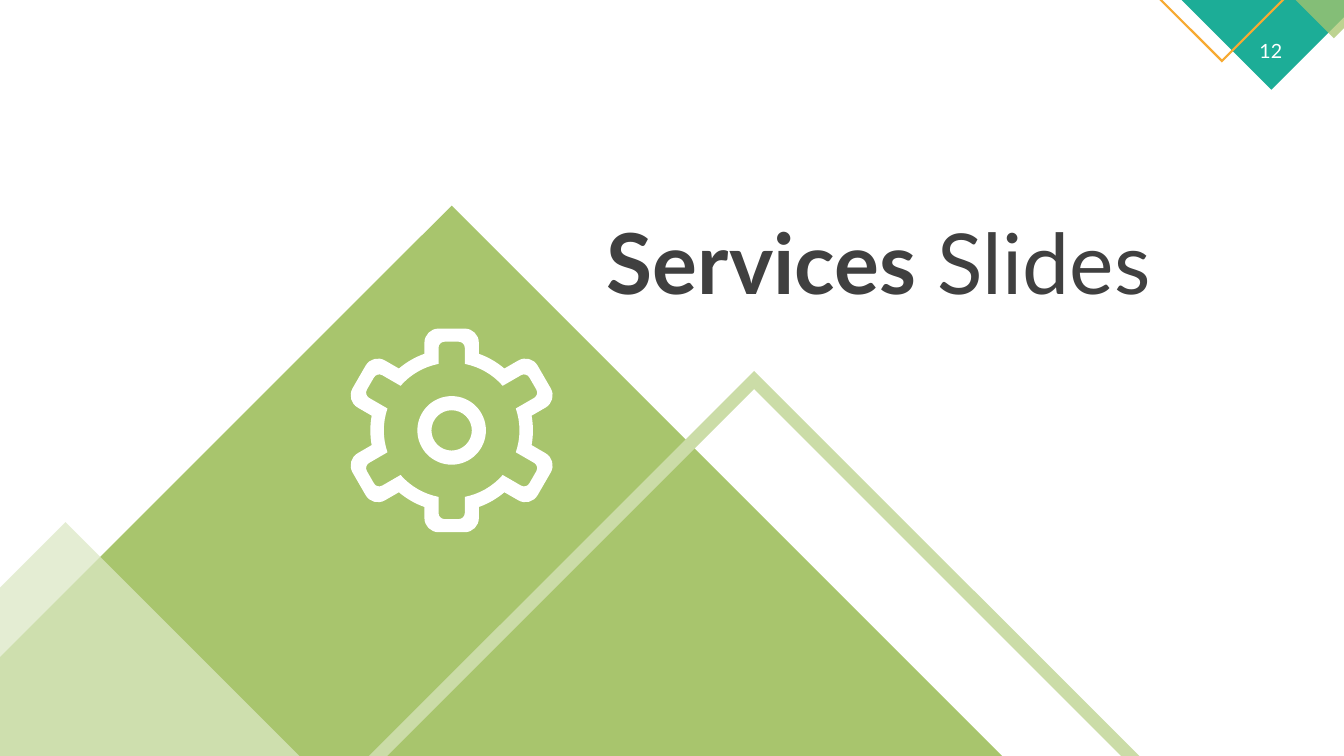
"""Build the Services section slide with mountain peaks and a gear icon."""
from dataclasses import dataclass
from math import atan2, cos, degrees, hypot, radians, sin, tan

from lxml import etree
from pptx import Presentation
from pptx import util as u
from pptx.dml.color import RGBColor
from pptx.enum import text
from pptx.oxml import ns


@dataclass(frozen=True)
class Theme:
    font: str = "Lato"
    title_size: int = 60
    number_size: int = 14
    ink: str = "404040"
    white: str = "FFFFFF"
    teal: str = "1CAD97"
    orange: str = "F7AA32"
    green: str = "A8C56D"
    light_green: str = "CBDCA7"
    pale_green: str = "DCE8C5"


THEME = Theme()
WIDTH, HEIGHT = 13.33, 7.5
TITLE = [("Services", True), (" Slides", False)]
TITLE_BOX = (5.92, 2.04, 5.92, 1.11)
PAGE_NUMBER = "12"
NUMBER_BOX = (12.33, 0.34, 0.55, 0.34)

# Each entry: apex, edge it rests on, band thickness (0 is solid), colour, opacity
PEAKS = [
    ((12.61, 0.89), 0, 0, THEME.teal, 100),
    ((12.12, 0.62), 0, 0.03, THEME.orange, 100),
    ((13.23, 0.38), 0, 0, THEME.green, 75),
    ((4.48, 2.04), HEIGHT, 0, THEME.green, 100),
    ((7.48, 3.68), HEIGHT, 0.18, THEME.light_green, 100),
    ((0.65, 5.18), HEIGHT, 0, THEME.pale_green, 75),
]

GEAR_CENTRE = (4.48, 4.27)
TEETH = 6
# Each entry: tooth half width, root, upright tip, slanted tip, corner radius
GEAR_RIMS = [(0.27, 0.76, 1.01, 1.06, 0.14), (0.13, 0.66, 0.88, 0.93, 0.06)]
HUB_RADII = (0.34, 0.2)


def peak_outline(apex, base, band):
    """Return a 45-degree peak clipped at the slide's sides."""
    x, y = apex
    toward = 1 if base > y else -1
    reach = abs(base - y)
    left, right = max(x - reach, 0), min(x + reach, WIDTH)
    points = [(left, base), apex, (right, base)]
    if right < x + reach:
        points.insert(2, (right, y + toward * (right - x)))
    if left > x - reach:
        points.insert(1, (left, y + toward * (x - left)))
    if band:
        points += [(right - band, base), (x, y + toward * band), (left + band, base)]
    return points


def arc(centre, radius, start, end):
    """Return the four Bezier points of an arc, clockwise from the top."""
    a, b = radians(start), radians(end)
    pull = 4 / 3 * tan((b - a) / 4)
    directions = [(sin(a), -cos(a)), (sin(a) + pull * cos(a), pull * sin(a) - cos(a)),
                  (sin(b) - pull * cos(b), -cos(b) - pull * sin(b)), (sin(b), -cos(b))]
    return [(centre[0] + radius * x, centre[1] + radius * y) for x, y in directions]


def turned(points, angle):
    """Turn points round the gear's centre and place them on the slide."""
    a, (cx, cy) = radians(angle), GEAR_CENTRE
    return [(cx + x * cos(a) - y * sin(a), cy + x * sin(a) + y * cos(a)) for x, y in points]


def rim_outline(half, root, upright, slanted, corner):
    """Return a toothed rim as a start point and Bezier triples."""
    pitch, root_angle = 360 / TEETH, degrees(atan2(half, root))
    valley = arc((0, 0), hypot(half, root), root_angle, pitch - root_angle)
    points = turned([(-half, -root)], 0)
    for tooth in range(TEETH):
        tip = slanted if tooth % (TEETH // 2) else upright
        shoulder, top = half - corner, corner - tip
        curves = [arc((-shoulder, top), corner, -90, 0),
                  arc((shoulder, top), corner, 0, 90), valley]
        for curve in curves:
            points += turned([curve[0]] * 3 + curve[1:], pitch * tooth)
    return points


def hub_outline(radius):
    """Return a circle as a start point and Bezier triples."""
    quarters = [arc(GEAR_CENTRE, radius, turn, turn + 90) for turn in range(0, 360, 90)]
    return quarters[0][:1] + [point for quarter in quarters for point in quarter[1:]]


def add_outline(slide, contours, colour, opacity=100):
    """Draw closed contours as one filled freeform."""
    contours = [[(u.Inches(x), u.Inches(y)) for x, y in points] for points in contours]
    first, *others = contours
    builder = slide.shapes.build_freeform(*first[0])
    builder.add_line_segments(first[1:])
    for contour in others:
        builder.move_to(*contour[0])
        builder.add_line_segments(contour[1:])
    outline = builder.convert_to_shape()
    outline.shadow.inherit = False
    outline.line.fill.background()
    outline.fill.solid()
    outline.fill.fore_color.rgb = RGBColor.from_string(colour)
    if opacity < 100:
        tint = outline.fill._xPr.find(".//" + ns.qn("a:srgbClr"))
        etree.SubElement(tint, ns.qn("a:alpha")).set("val", str(opacity * 1000))
    return outline


def curve_segments(outline):
    """Join each three line points into one Bezier segment, without closing lines."""
    steps = []
    for step in list(outline._element.iter(ns.qn("a:moveTo"), ns.qn("a:lnTo"))):
        if step.tag == ns.qn("a:moveTo"):
            steps = []
            continue
        steps.append(step)
        if len(steps) == 3:
            curve = etree.Element(ns.qn("a:cubicBezTo"))
            steps[0].addprevious(curve)
            for joined in steps:
                curve.append(joined[0])
                joined.getparent().remove(joined)
            steps = []
    for step in list(outline._element.iter(ns.qn("a:lnTo"))):
        step.getparent().remove(step)


def set_font(paragraph, size, colour):
    """Apply the theme font to a paragraph."""
    paragraph.font.name = THEME.font
    paragraph.font.size = u.Pt(size)
    paragraph.font.color.rgb = RGBColor.from_string(colour)


def add_title(slide):
    """Place the two-weight title."""
    title = slide.shapes.title
    title.left, title.top, title.width, title.height = map(u.Inches, TITLE_BOX)
    frame = title.text_frame
    frame.word_wrap = True
    frame.auto_size = text.MSO_AUTO_SIZE.SHAPE_TO_FIT_TEXT
    frame.vertical_anchor = text.MSO_ANCHOR.TOP
    heading = frame.paragraphs[0]
    heading.alignment = text.PP_ALIGN.LEFT
    for words, bold in TITLE:
        run = heading.add_run()
        run.text, run.font.bold = words, bold
    set_font(heading, THEME.title_size, THEME.ink)


def add_page_number(slide):
    """Place the number on the corner peak."""
    frame = slide.shapes.add_textbox(*map(u.Inches, NUMBER_BOX)).text_frame
    frame.word_wrap = False
    frame.auto_size = text.MSO_AUTO_SIZE.SHAPE_TO_FIT_TEXT
    number = frame.paragraphs[0]
    number.text = PAGE_NUMBER
    number.alignment = text.PP_ALIGN.CENTER
    set_font(number, THEME.number_size, THEME.white)


def main():
    """Assemble and save the slide."""
    deck = Presentation()
    deck.slide_width, deck.slide_height = u.Inches(WIDTH), u.Inches(HEIGHT)
    slide = deck.slides.add_slide(deck.slide_layouts[5])
    for apex, base, band, colour, opacity in PEAKS:
        add_outline(slide, [peak_outline(apex, base, band)], colour, opacity)
    add_page_number(slide)
    add_title(slide)
    rims = [rim_outline(*rim) for rim in GEAR_RIMS]
    hub = [hub_outline(radius) for radius in HUB_RADII]
    curve_segments(add_outline(slide, rims + hub, THEME.white))
    deck.save("out.pptx")


if __name__ == "__main__":
    main()
